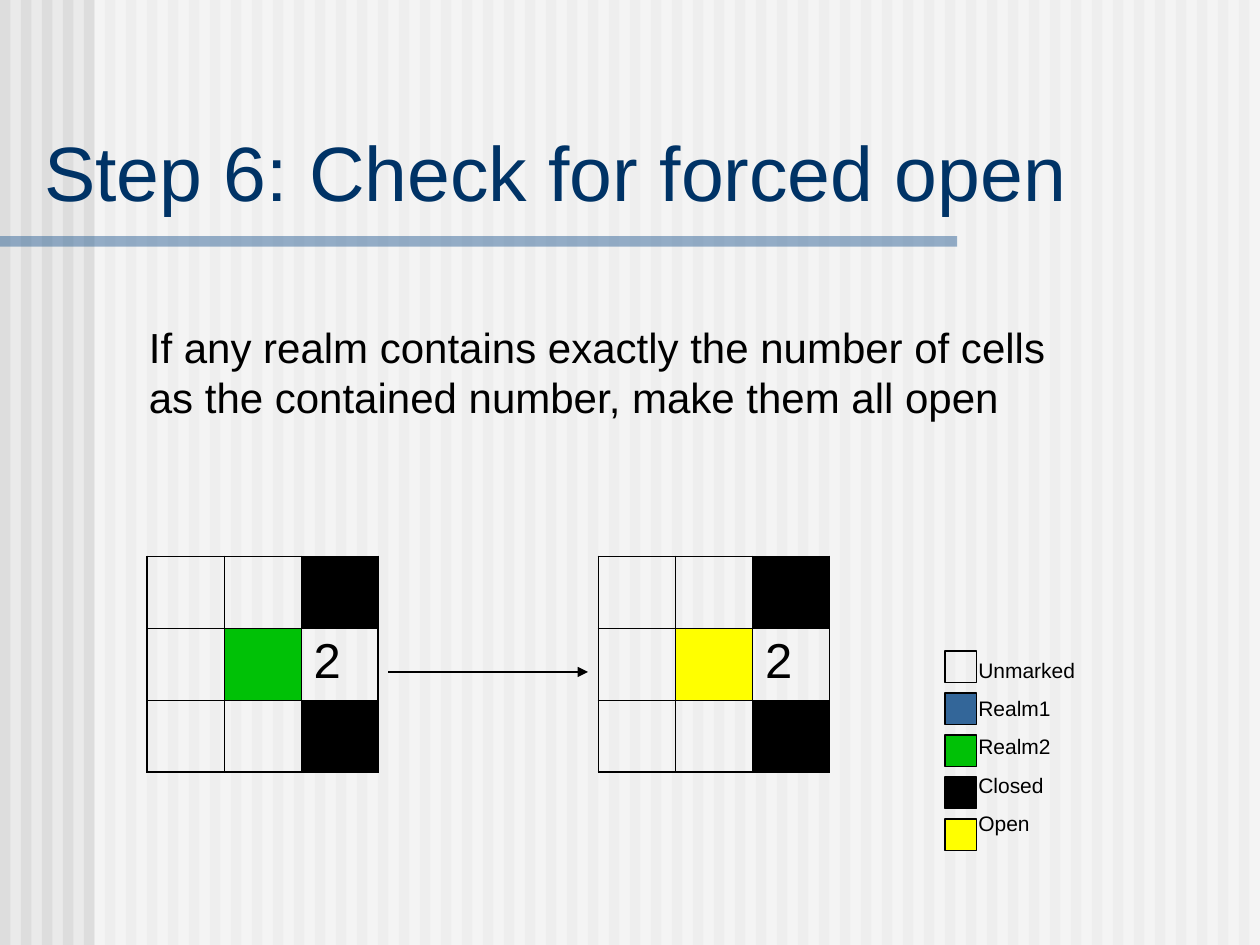
from lxml import etree
from pptx import Presentation
from pptx.dml.color import RGBColor
from pptx.enum.shapes import MSO_CONNECTOR, MSO_SHAPE
from pptx.enum.text import MSO_ANCHOR, PP_ALIGN
from pptx.oxml import parse_xml
from pptx.oxml.ns import nsdecls, qn
from pptx.util import Pt

RECTANGLE = MSO_SHAPE.RECTANGLE
STRAIGHT = MSO_CONNECTOR.STRAIGHT
TOP, BOTTOM = MSO_ANCHOR.TOP, MSO_ANCHOR.BOTTOM
LEFT = PP_ALIGN.LEFT

FONT = "Arial"
WIDTH, HEIGHT = 720, 540
COLORS = {
    "background": "EAEAEA",
    "stripe": "DDDDDD",
    "veil": "FFFFFF",
    "title": "003366",
    "blue": "336699",
    "green": "00C106",
    "yellow": "FFFF00",
    "black": "000000",
}
LEGEND = [("Unmarked", None), ("Realm1", "blue"), ("Realm2", "green"),
          ("Closed", "black"), ("Open", "yellow")]


def rgb(name):
    return RGBColor.from_string(COLORS[name])


def write_text(frame, lines, size=12, color="black", before=0, anchor=TOP):
    frame.word_wrap = True
    frame.vertical_anchor = anchor
    for index, line in enumerate(lines):
        para = frame.paragraphs[0] if index == 0 else frame.add_paragraph()
        para.alignment = LEFT
        para.space_before = Pt(before)
        span = para.add_run()
        span.text = line
        span.font.name = FONT
        span.font.size = Pt(size)
        span.font.color.rgb = rgb(color)


def add_text(page, box, lines, **text_format):
    frame = page.shapes.add_textbox(*map(Pt, box)).text_frame
    write_text(frame, lines, **text_format)


def add_box(page, box, fill=None, opacity=100, outline=None):
    shape = page.shapes.add_shape(RECTANGLE, *map(Pt, box))
    shape.shadow.inherit = False
    if fill:
        shape.fill.solid()
        shape.fill.fore_color.rgb = rgb(fill)
        if opacity < 100:
            color = shape.fill._xPr.find(".//" + qn("a:srgbClr"))
            etree.SubElement(color, qn("a:alpha"), val=str(opacity * 1000))
    else:
        shape.fill.background()
    if outline:
        shape.line.color.rgb = rgb(outline)
        shape.line.width = Pt(0.75)
    else:
        shape.line.fill.background()


def add_backdrop(page, box):
    left, top, width, height = box
    page.background.fill.solid()
    page.background.fill.fore_color.rgb = rgb("background")
    pitch = 12
    for x in range(left, left + width, pitch):
        add_box(page, (x, top, pitch / 2, height), fill="stripe")
    margin = 54
    add_box(page, (left + margin, top, width - margin, height),
            fill="veil", opacity=50)
    # Rule under the title
    add_box(page, (left, top + 135, 547, 6), fill="blue", opacity=50)


def add_title(page, box, text):
    title = page.shapes.title
    title.left, title.top, title.width, title.height = map(Pt, box)
    write_text(title.text_frame, [text], size=44, color="title", anchor=BOTTOM)
    # Bring the title in front of the backdrop
    title.element.getparent().append(title.element)


def set_borders(cell, widths):
    properties = cell._tc.get_or_add_tcPr()
    for index, (side, width) in enumerate(widths.items()):
        properties.insert(index, parse_xml(
            f'<a:ln{side} {nsdecls("a")} w="{Pt(width)}"><a:solidFill>'
            f'<a:srgbClr val="{COLORS["black"]}"/></a:solidFill></a:ln{side}>'))


def add_grid(page, box, fills, labels):
    count = len(fills)
    last = count - 1
    left, top, width, height = box
    table = page.shapes.add_table(count, count, *map(Pt, box)).table
    table.first_row = table.horz_banding = False
    for index in range(count):
        table.columns[index].width = Pt(width / count)
        table.rows[index].height = Pt(height / count)
    for row in range(count):
        for column in range(count):
            cell = table.cell(row, column)
            fill = fills[row][column]
            if fill:
                cell.fill.solid()
                cell.fill.fore_color.rgb = rgb(fill)
            else:
                cell.fill.background()
            if (row, column) in labels:
                write_text(cell.text_frame, [labels[row, column]],
                           size=28, before=7)
            # Heavy outer edge, thin inner lines
            outer = {"L": column == 0, "R": column == last,
                     "T": row == 0, "B": row == last}
            set_borders(cell, {side: 1.08 if edge else 0.45
                               for side, edge in outer.items()})


def add_arrow(page, start, end):
    arrow = page.shapes.add_connector(STRAIGHT, *map(Pt, start + end))
    arrow.line.color.rgb = rgb("black")
    arrow.line.width = Pt(0.75)
    etree.SubElement(arrow.line._get_or_add_ln(), qn("a:tailEnd"),
                     type="triangle")
    etree.SubElement(arrow._element.spPr, qn("a:effectLst"))


def add_example(page, box):
    left, top, width, height = box
    side = 132
    starts = (left, left + width - side)
    for x, center in zip(starts, ("green", "yellow")):
        fills = [[None, None, "black"],
                 [None, center, None],
                 [None, None, "black"]]
        add_grid(page, (x, top, side, height), fills, {(1, 2): "2"})
    gap, middle = 6, top + 66
    add_arrow(page, (left + side + gap, middle), (starts[1] - gap, middle))


def add_legend(page, box):
    left, top, width, height = box
    for index, (_, fill) in enumerate(LEGEND):
        add_box(page, (left, top + 24 * index, 18, 18),
                fill=fill, outline="black")
    add_text(page, (left + 12, top, width - 12, height),
             [label for label, _ in LEGEND], size=12, before=7.5)


def main():
    deck = Presentation()
    deck.slide_width, deck.slide_height = Pt(WIDTH), Pt(HEIGHT)
    page = deck.slides.add_slide(deck.slide_layouts[5])
    add_backdrop(page, (0, 0, WIDTH, HEIGHT))
    add_title(page, (18, 42, 693, 85.5), "Step 6: Check for forced open")
    add_legend(page, (540, 372, 120, 109.5))
    add_text(page, (78, 180, 552, 65),
             ["If any realm contains exactly the number of cells "
              "as the contained number, make them all open"],
             size=24, before=15)
    add_example(page, (84, 318, 390, 123))
    deck.save("out.pptx")


if __name__ == "__main__":
    main()
